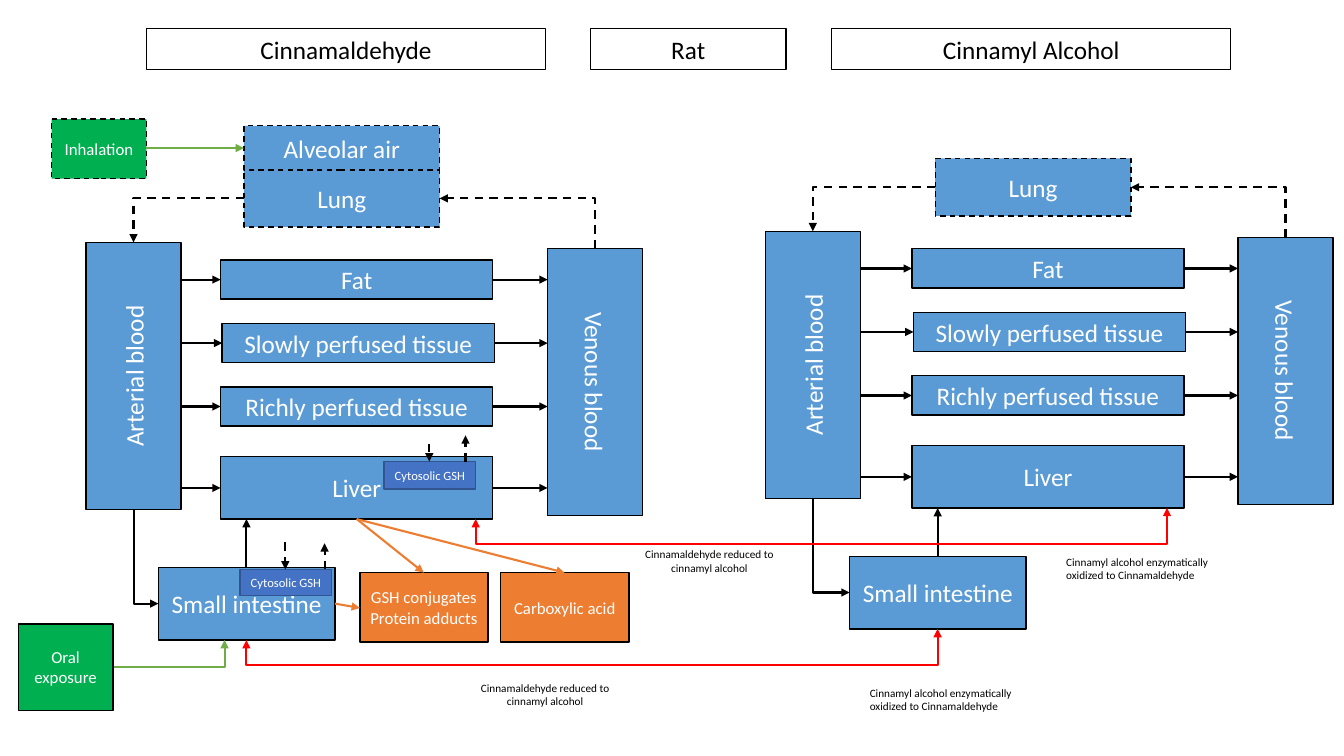
import dataclasses

import pptx
import pptx.dml.color
import pptx.enum.dml
import pptx.enum.shapes
import pptx.enum.text
import pptx.oxml.ns
import pptx.util
from lxml import etree

Cm = pptx.util.Cm


@dataclasses.dataclass(frozen=True)
class Theme:
    font: str = "Calibri"
    black: str = "000000"
    white: str = "FFFFFF"
    tissue: str = "5B9BD5"
    cytosol: str = "4472C4"
    cytosol_edge: str = "325491"
    product: str = "ED7D31"
    exposure: str = "00B050"
    uptake: str = "70AD47"
    exchange: str = "FF0000"
    large: float = 18
    medium: float = 12
    small: float = 9
    caption: float = 8
    frame_line: float = 0.75
    box_line: float = 1
    arrow_line: float = 1.5


@dataclasses.dataclass(frozen=True)
class Compound:
    arterial_left: float
    organ_left: float
    venous_left: float
    rise: float


THEME = Theme()
CINNAMALDEHYDE = Compound(2.17, 5.56, 13.8, 0)
CINNAMYL_ALCOHOL = Compound(19.29, 22.98, 31.2, 0.28)
ORGAN_WIDTH = 6.86
VESSEL_WIDTH, VESSEL_LENGTH = 2.39, 6.73


def rgb(code):
    return pptx.dml.color.RGBColor.from_string(code)


def set_line(line, color, width, dashed=False):
    line.color.rgb = rgb(color)
    line.width = pptx.util.Pt(width)
    if dashed:
        line.dash_style = pptx.enum.dml.MSO_LINE.DASH


def write(frame, text, size, color, align=pptx.enum.text.PP_ALIGN.CENTER):
    frame.text = text
    frame.word_wrap = True
    for para in frame.paragraphs:
        para.alignment = align
        para.font.name = THEME.font
        para.font.size = pptx.util.Pt(size)
        para.font.color.rgb = rgb(color)


def add_box(page, text, left, top, width, height, fill=THEME.tissue, size=THEME.large,
            edge=THEME.black, dashed=False, turn=0):
    box = page.shapes.add_shape(pptx.enum.shapes.MSO_SHAPE.RECTANGLE,
                                Cm(left), Cm(top), Cm(width), Cm(height))
    box.shadow.inherit = False
    box.fill.solid()
    box.fill.fore_color.rgb = rgb(fill)
    box.rotation = turn
    set_line(box.line, edge, THEME.box_line, dashed)
    write(box.text_frame, text, size, THEME.white)


def add_vessel(page, text, left, top, turn):
    inset = (VESSEL_LENGTH - VESSEL_WIDTH) / 2
    add_box(page, text, left - inset, top + inset, VESSEL_LENGTH, VESSEL_WIDTH, turn=turn)


def add_heading(box, text, left, width):
    box.left, box.top, box.width, box.height = Cm(left), Cm(0.73), Cm(width), Cm(1.02)
    set_line(box.line, THEME.black, THEME.frame_line)
    write(box.text_frame, text, THEME.large, THEME.black)
    box.text_frame.vertical_anchor = pptx.enum.text.MSO_ANCHOR.TOP
    box.text_frame.auto_size = pptx.enum.text.MSO_AUTO_SIZE.NONE


def add_caption(page, text, left, top, width, align):
    box = page.shapes.add_textbox(Cm(left), Cm(top), Cm(width), Cm(0.94))
    write(box.text_frame, text, THEME.caption, THEME.black, align)


def add_arrow(page, start, end, color=THEME.black, dashed=False, both=False,
              kind=pptx.enum.shapes.MSO_CONNECTOR.STRAIGHT):
    arrow = page.shapes.add_connector(kind, *(Cm(value) for value in (*start, *end)))
    set_line(arrow.line, color, THEME.arrow_line, dashed)
    properties = arrow._element.spPr
    etree.SubElement(properties, pptx.oxml.ns.qn("a:effectLst"))
    outline = properties.find(pptx.oxml.ns.qn("a:ln"))
    for tag in ("a:headEnd", "a:tailEnd") if both else ("a:tailEnd",):
        etree.SubElement(outline, pptx.oxml.ns.qn(tag), type="triangle")
    return properties


def add_corner(page, start, end, upright=False, **look):
    if upright:
        middle_x, middle_y = (start[0] + end[0]) / 2, (start[1] + end[1]) / 2
        half_x, half_y = (end[0] - start[0]) / 2, (end[1] - start[1]) / 2
        start = middle_x + half_y, middle_y - half_x
        end = middle_x - half_y, middle_y + half_x
    properties = add_arrow(page, start, end, kind=pptx.enum.shapes.MSO_CONNECTOR.ELBOW, **look)
    properties.find(pptx.oxml.ns.qn("a:prstGeom")).set("prst", "bentConnector2")
    if upright:
        properties.find(pptx.oxml.ns.qn("a:xfrm")).set("rot", "16200000")


def add_exchange(page, start, end, drop):
    middle_x, middle_y = (start[0] + end[0]) / 2, (start[1] + end[1]) / 2
    half_x, half_y = (end[0] - start[0]) / 2, (end[1] - start[1]) / 2
    properties = add_arrow(page, (middle_x - half_y, middle_y + half_x),
                           (middle_x + half_y, middle_y - half_x), THEME.exchange, both=True,
                           kind=pptx.enum.shapes.MSO_CONNECTOR.ELBOW)
    properties.find(pptx.oxml.ns.qn("a:xfrm")).set("rot", "5400000")
    guides = properties.find(".//" + pptx.oxml.ns.qn("a:avLst"))
    ratio = round(100000 * drop / (end[1] - start[1]))
    etree.SubElement(guides, pptx.oxml.ns.qn("a:gd"), name="adj1", fmla=f"val {ratio}")


def add_circulation(page, compound):
    organ, rise = compound.organ_left, compound.rise
    arterial_right = compound.arterial_left + VESSEL_WIDTH
    arterial_middle = compound.arterial_left + VESSEL_WIDTH / 2
    venous_middle = compound.venous_left + VESSEL_WIDTH / 2
    intestine, lung = organ - 1.57, organ + 0.59
    add_vessel(page, "Arterial blood", compound.arterial_left, 6.11 - rise, 270)
    add_vessel(page, "Venous blood", compound.venous_left, 6.26 - rise, 90)
    organs = (("Fat", 0, 6.55, 0.99), ("Slowly perfused tissue", 0.04, 8.15, 0.99),
              ("Richly perfused tissue", 0, 9.75, 0.99), ("Liver", 0, 11.51, 1.57))
    for name, shift, top, height in organs:
        left, middle = organ + shift, top - rise + height / 2
        add_box(page, name, left, top - rise, ORGAN_WIDTH, height)
        add_arrow(page, (arterial_right, middle), (left, middle))
        add_arrow(page, (left + ORGAN_WIDTH, middle), (compound.venous_left, middle))
    add_box(page, "Small intestine", intestine, 14.3 - rise, 4.45, 1.83)
    add_box(page, "Lung", lung, 4.27 - rise, 4.93, 1.45, dashed=True)
    add_arrow(page, (organ + 0.65, 14.3 - rise), (organ + 0.65, 13.08 - rise))
    add_corner(page, (arterial_middle, 12.84 - rise), (intestine, 15.21 - rise), upright=True)
    add_corner(page, (venous_middle, 6.26 - rise), (lung + 4.93, 5 - rise),
               upright=True, dashed=True)
    add_corner(page, (lung, 5 - rise), (arterial_middle, 6.11 - rise), dashed=True)


def add_cytosol(page, left, top, height, inflow, outflow, inflow_length):
    add_box(page, "Cytosolic GSH", left, top, 2.31, height, THEME.cytosol, THEME.small,
            THEME.cytosol_edge)
    add_arrow(page, (inflow, top - inflow_length), (inflow, top), dashed=True)
    add_arrow(page, (outflow, top), (outflow, top - 0.66), dashed=True)


def add_products(page):
    for name, left in (("GSH conjugates\nProtein adducts", 9.07), ("Carboxylic acid", 12.62)):
        add_box(page, name, left, 14.43, 3.23, 1.75, THEME.product, THEME.medium)
        add_arrow(page, (8.99, 13.08), (left + 1.61, 14.43), THEME.product)
    add_arrow(page, (8.44, 15.21), (9.07, 15.32), THEME.product)


def add_exposures(page):
    add_corner(page, (2.31, 16.81), (5.66, 16.13), color=THEME.uptake)
    add_box(page, "Oral exposure", 0.46, 15.72, 2.39, 2.18, THEME.exposure, THEME.medium)
    add_box(page, "Inhalation", 1.3, 3, 2.39, 1.5, THEME.exposure, THEME.medium, dashed=True)
    add_box(page, "Alveolar air", 6.15, 3.17, 4.93, 1.12, dashed=True)
    add_arrow(page, (3.69, 3.73), (6.15, 3.73), THEME.uptake)


def main():
    deck = pptx.Presentation()
    deck.slide_width, deck.slide_height = Cm(33.87), Cm(19.05)
    page = deck.slides.add_slide(deck.slide_layouts[5])
    add_heading(page.shapes.title, "Cinnamaldehyde", 3.69, 10.06)
    for text, left, width in (("Rat", 14.88, 4.93), ("Cinnamyl Alcohol", 20.96, 10.06)):
        add_heading(page.shapes.add_textbox(0, 0, 0, 0), text, left, width)
    for compound in (CINNAMALDEHYDE, CINNAMYL_ALCOHOL):
        add_circulation(page, compound)
    add_cytosol(page, 9.68, 11.63, 0.69, 10.82, 11.73, 0.45)
    add_cytosol(page, 6.05, 14.35, 0.66, 7.19, 8.18, 0.68)
    add_products(page)
    add_exposures(page)
    add_exchange(page, (11.99, 13.08), (29.41, 12.8), 0.64)
    add_exchange(page, (6.21, 16.13), (23.63, 15.85), 0.64)
    for left, top, width in ((11.43, 17.04, 4.62), (15.49, 13.67, 4.78)):
        add_caption(page, "Cinnamaldehyde reduced to cinnamyl alcohol", left, top, width,
                    pptx.enum.text.PP_ALIGN.CENTER)
    for left, top in ((26.62, 13.87), (21.67, 17.17)):
        add_caption(page, "Cinnamyl alcohol enzymatically oxidized to Cinnamaldehyde",
                    left, top, 4.52, pptx.enum.text.PP_ALIGN.LEFT)
    deck.save("out.pptx")


main()
